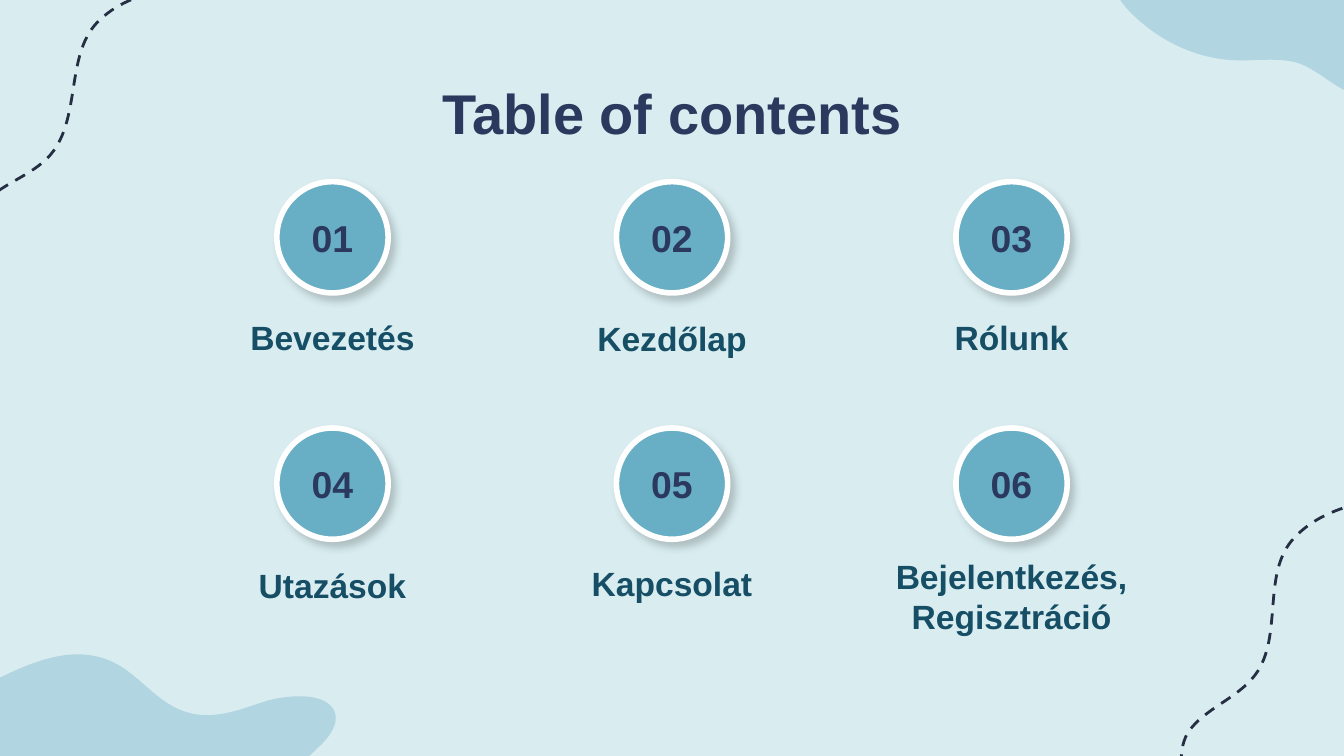
from math import cos, radians, sin

from lxml import etree
from pptx import Presentation
from pptx.dml.color import RGBColor
from pptx.enum.dml import MSO_LINE
from pptx.enum.shapes import MSO_SHAPE
from pptx.enum.text import MSO_ANCHOR, PP_ALIGN
from pptx.oxml.ns import qn
from pptx.util import Pt

OVAL = MSO_SHAPE.OVAL
DASH = MSO_LINE.DASH
CENTER = PP_ALIGN.CENTER
TOP, MIDDLE, BOTTOM = MSO_ANCHOR.TOP, MSO_ANCHOR.MIDDLE, MSO_ANCHOR.BOTTOM

BACKGROUND = RGBColor(0xD9, 0xED, 0xF0)
BLOB = RGBColor(0xB1, 0xD5, 0xE1)
DASHES = RGBColor(0x25, 0x2E, 0x42)
DISC = RGBColor(0x68, 0xAE, 0xC5)
WHITE = RGBColor(0xFF, 0xFF, 0xFF)
NAVY = RGBColor(0x2B, 0x39, 0x5E)
TEAL = RGBColor(0x16, 0x4E, 0x66)

# Content: label, top and height of its box in points
TITLE = "Table of contents"
SECTIONS = [
    ("Bevezetés", 164.9, 33.8),
    ("Kezdőlap", 165.2, 33.8),
    ("Rólunk", 164.9, 33.8),
    ("Utazások", 297.8, 33.8),
    ("Kapcsolat", 296.6, 33.8),
    ("Bejelentkezés, Regisztráció", 295.5, 52.6),
]

# Rotation, then a Bezier chain in inches: a start, then two handles and an end per piece
WAVES = [
    (171.3, [(-0.2, 1.93), (-0.22, 1.79), (-0.22, 1.61), (-0.12, 1.51),
             (0.03, 1.35), (0.27, 1.3), (0.4, 1.12), (0.6, 0.84), (0.49, 0.38),
             (0.74, 0.15), (1.03, -0.13), (1.5, -0.09), (1.9, -0.15)]),
    (167.2, [(8.81, 5.84), (8.78, 5.7), (8.77, 5.53), (8.86, 5.42),
             (9, 5.25), (9.24, 5.18), (9.36, 4.99), (9.54, 4.7), (9.39, 4.25),
             (9.63, 4), (9.9, 3.71), (10.37, 3.71), (10.76, 3.62)]),
]
BLOBS = [
    (266.2, [(0.11, 4.99), (0.29, 4.91), (0.5, 4.84), (0.7, 4.88),
             (1.04, 4.94), (1.15, 5.3), (1.51, 5.32), (1.68, 5.33), (1.84, 5.26),
             (2, 5.21), (2.16, 5.17), (2.37, 5.16), (2.46, 5.25),
             (2.55, 5.34), (2.47, 5.47), (2.37, 5.56), (2.04, 5.89), (1.51, 6.11),
             (0.96, 6.17), (0.71, 6.19), (0.44, 6.19), (0.21, 6.27),
             (-0.08, 6.37), (-0.27, 6.58), (-0.58, 6.65), (-0.76, 6.68),
             (-0.95, 6.66), (-1.09, 6.59), (-1.52, 6.37), (-1.15, 5.97),
             (-0.92, 5.72), (-0.66, 5.43), (-0.31, 5.18), (0.11, 4.99)]),
    (87.5, [(9.63, -0.6), (9.52, -0.65), (9.39, -0.69), (9.28, -0.64),
            (9.09, -0.56), (9.06, -0.26), (8.85, -0.21), (8.76, -0.19),
            (8.66, -0.23), (8.57, -0.26), (8.48, -0.28), (8.35, -0.28),
            (8.31, -0.19), (8.26, -0.11), (8.32, -0.01), (8.38, 0.06),
            (8.6, 0.3), (8.91, 0.45), (9.23, 0.45), (9.38, 0.45), (9.53, 0.43),
            (9.66, 0.47), (9.83, 0.53), (9.96, 0.69), (10.14, 0.72),
            (10.24, 0.74), (10.35, 0.7), (10.43, 0.63), (10.66, 0.42),
            (10.42, 0.11), (10.27, -0.08), (10.1, -0.29), (9.88, -0.47),
            (9.63, -0.6)]),
]

# Grid in points
COLUMNS = 3
FIRST_CENTER_X, COLUMN_STEP = 178.1, 181.9
FIRST_CENTER_Y, ROW_STEP = 127.1, 132
DISC_SIZE = 59.6
NUMBER_WIDTH, NUMBER_HEIGHT = 57.6, 35.3
LABEL_WIDTH = 164.9


def turn(x, y, degrees):
    """Rotate a point clockwise about the page's top left corner."""
    c, s = cos(radians(degrees)), sin(radians(degrees))
    return x * c - y * s, x * s + y * c


def add_curve(page, chain, rotation, closed):
    # Outline before rotation, through ends and handles
    points = [turn(Pt(72 * x), Pt(72 * y), -rotation) for x, y in chain]
    builder = page.shapes.build_freeform(*points[0])
    builder.add_line_segments(points[1:], close=closed)
    shape = builder.convert_to_shape()
    shape.shadow.inherit = False

    # Join every three line segments into one Bezier piece
    segments = list(shape.element.iter(qn("a:lnTo")))[:len(chain) - 1]
    for i in range(0, len(segments), 3):
        bezier = etree.Element(qn("a:cubicBezTo"))
        segments[i].addprevious(bezier)
        for segment in segments[i:i + 3]:
            bezier.append(segment[0])
            segment.getparent().remove(segment)

    # Turn the shape about its own center
    center_x, center_y = turn(shape.left + shape.width / 2,
                              shape.top + shape.height / 2, rotation)
    shape.left = round(center_x - shape.width / 2)
    shape.top = round(center_y - shape.height / 2)
    shape.rotation = rotation
    return shape


def add_text(page, text, left, top, width, height, size, color, anchor):
    box = page.shapes.add_textbox(Pt(left), Pt(top), Pt(width), Pt(height))
    frame = box.text_frame
    frame.word_wrap = True
    frame.vertical_anchor = anchor
    frame.margin_left = frame.margin_right = Pt(7.2)
    frame.margin_top = frame.margin_bottom = Pt(7.2)
    frame.text = text
    para = frame.paragraphs[0]
    para.alignment = CENTER
    font = para.runs[0].font
    font.name, font.size, font.bold = "Arial", Pt(size), True
    font.color.rgb = color


def add_disc(page, center_x, center_y):
    disc = page.shapes.add_shape(
        OVAL, Pt(center_x - DISC_SIZE / 2), Pt(center_y - DISC_SIZE / 2),
        Pt(DISC_SIZE), Pt(DISC_SIZE))
    disc.fill.solid()
    disc.fill.fore_color.rgb = DISC
    disc.line.color.rgb = WHITE
    disc.line.width = Pt(3)
    # Soft shadow to the lower right
    disc.shadow.inherit = False
    effects = disc.element.spPr.find(qn("a:effectLst"))
    shadow = etree.SubElement(
        effects, qn("a:outerShdw"), blurRad=str(Pt(4.5)), dist=str(Pt(3.8)),
        dir=str(50 * 60000), algn="bl", rotWithShape="0")
    tint = etree.SubElement(shadow, qn("a:srgbClr"), val="000000")
    etree.SubElement(tint, qn("a:alpha"), val="20000")


def main():
    deck = Presentation()
    deck.slide_width, deck.slide_height = Pt(720), Pt(405)
    page = deck.slides.add_slide(deck.slide_layouts[6])
    page.background.fill.solid()
    page.background.fill.fore_color.rgb = BACKGROUND

    # Corner decoration
    for rotation, chain in WAVES:
        wave = add_curve(page, chain, rotation, closed=False)
        wave.fill.background()
        wave.line.color.rgb = DASHES
        wave.line.width = Pt(1.5)
        wave.line.dash_style = DASH
    for rotation, chain in BLOBS:
        blob = add_curve(page, chain, rotation, closed=True)
        blob.fill.solid()
        blob.fill.fore_color.rgb = BLOB
        blob.line.fill.background()

    # Title
    add_text(page, TITLE, 56.7, 35, 606.6, 45.4, 30, NAVY, TOP)

    # Numbered sections
    for index, (label, label_top, label_height) in enumerate(SECTIONS):
        row, column = divmod(index, COLUMNS)
        x = FIRST_CENTER_X + column * COLUMN_STEP
        y = FIRST_CENTER_Y + row * ROW_STEP
        add_disc(page, x, y)
        add_text(page, f"{index + 1:02d}", x - NUMBER_WIDTH / 2, y - NUMBER_HEIGHT / 2,
                 NUMBER_WIDTH, NUMBER_HEIGHT, 20, NAVY, MIDDLE)
        add_text(page, label, x - LABEL_WIDTH / 2, label_top,
                 LABEL_WIDTH, label_height, 18, TEAL, BOTTOM)

    deck.save("out.pptx")


if __name__ == "__main__":
    main()
